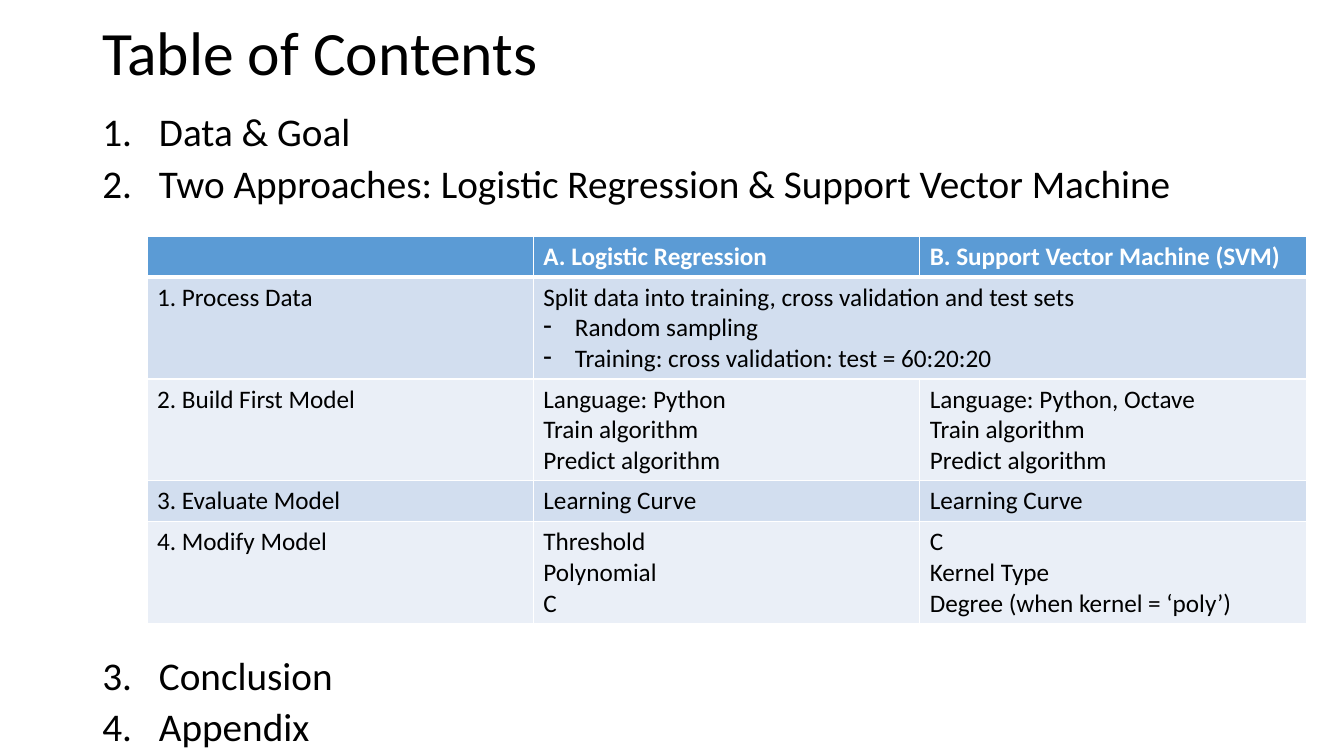
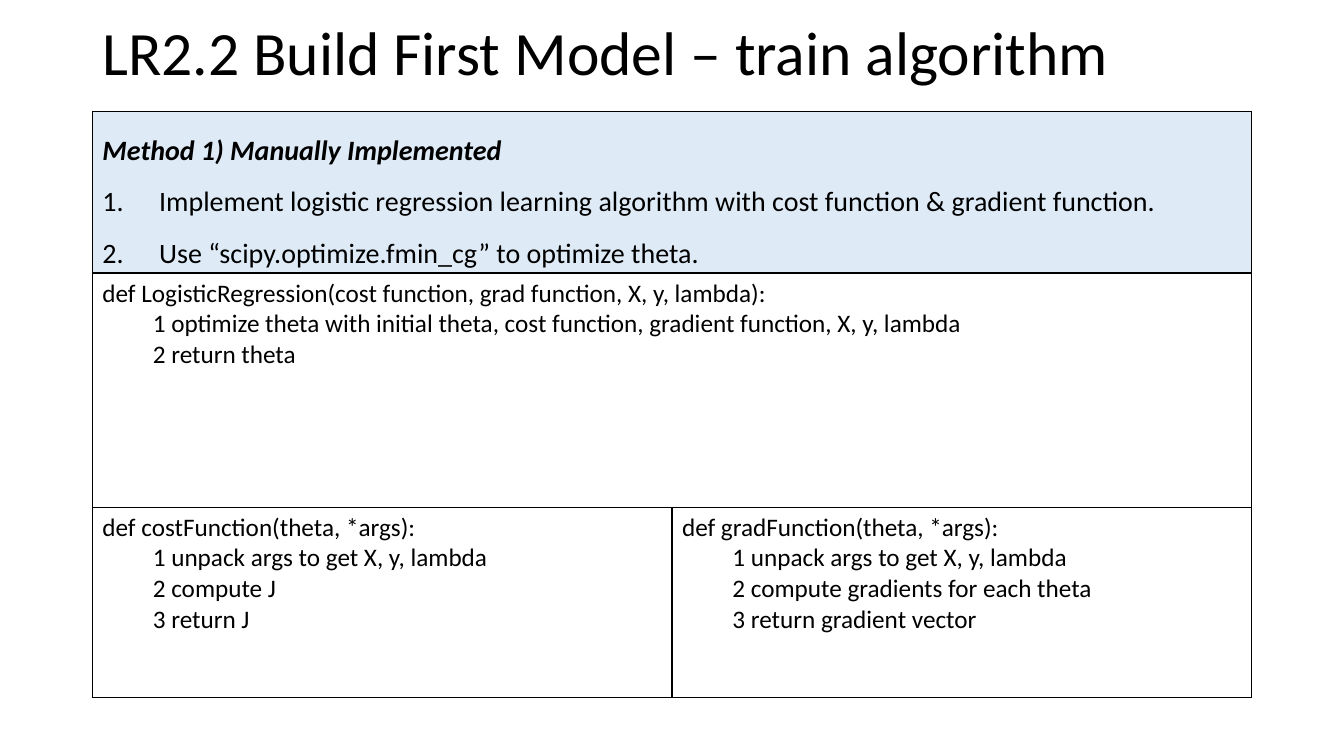
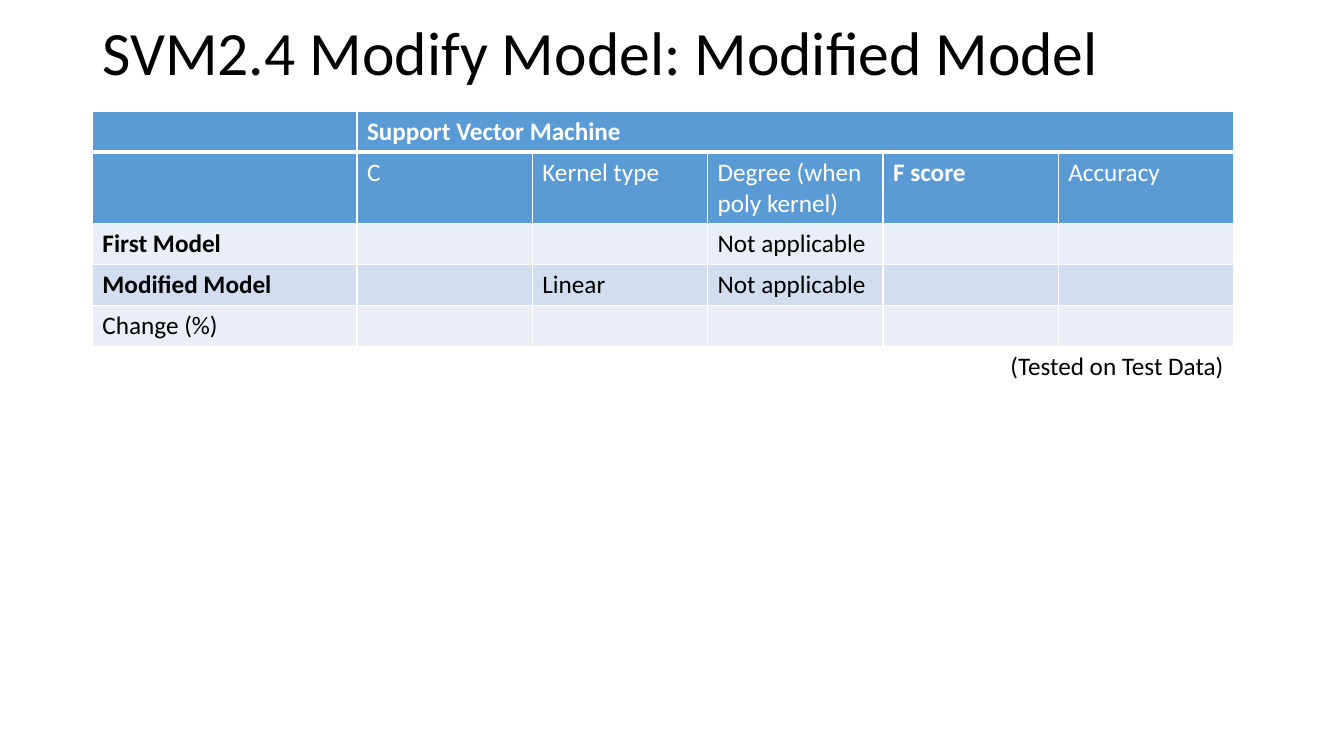
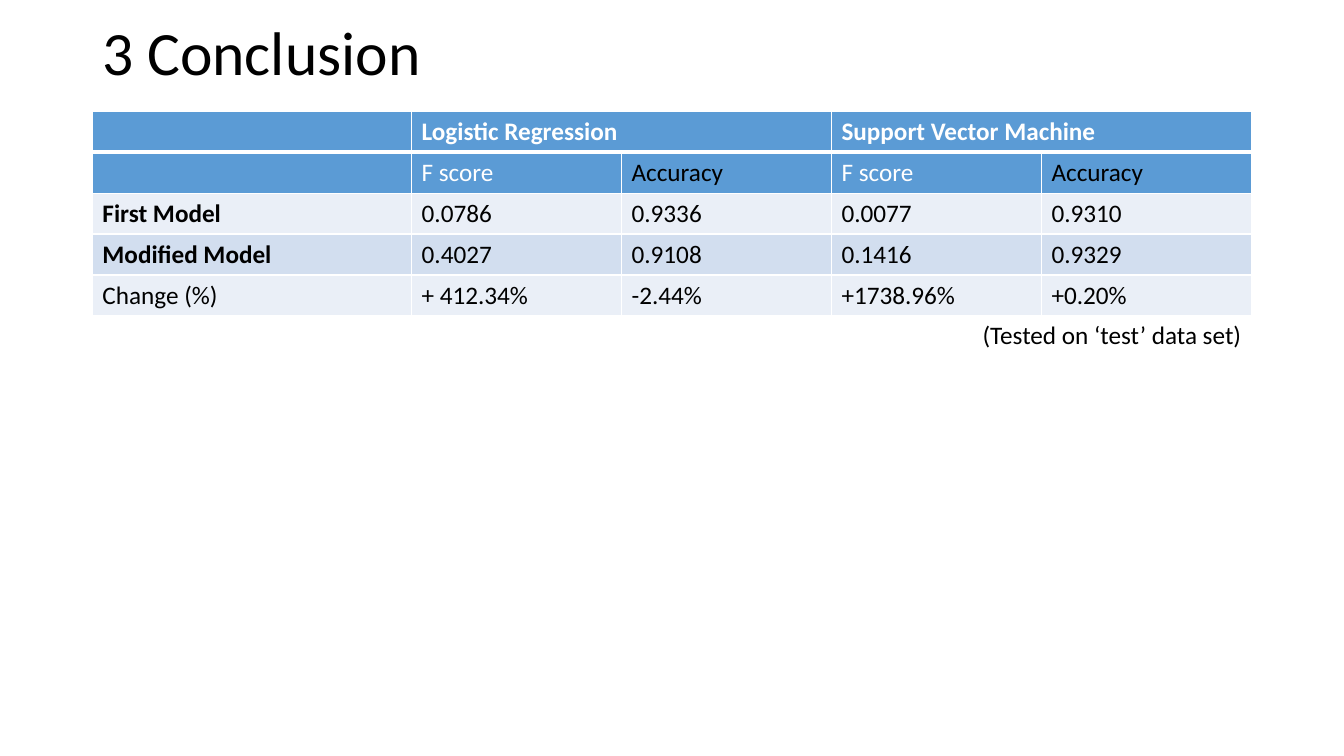
from lxml import etree
from pptx import Presentation
from pptx import util as u
from pptx.dml.color import RGBColor
from pptx.enum import text as t
from pptx.oxml.ns import qn

# Shared look
BLACK = RGBColor(0, 0, 0)
WHITE = RGBColor(255, 255, 255)
BLUE = RGBColor(0x5B, 0x9B, 0xD5)
BAND = RGBColor(0xD2, 0xDE, 0xEF)
PALE = RGBColor(0xEA, 0xEF, 0xF7)
ICE = RGBColor(0xDE, 0xEB, 0xF7)
FONT = "Calibri"
LEFT, TOP, WIDE, ROW = 88, 106, 1104, 39
BOLD = {"bold": True}
DARK = {"color": BLACK}
RIGHT = {"align": t.PP_ALIGN.RIGHT}
DASH = {"mark": "-", "pad": 30, "hang": 30}
STEP = {"pad": 48}
POINT = {"mark": 1, "pad": 54, "hang": 54}
TALL = {"size": 20, "line": 1.5}

# Content: a cell is text or a list of paragraphs; None joins the cell to its left
TERMS = [(1, ["Data & Goal",
              "Two Approaches: Logistic Regression & Support Vector Machine"], TOP),
         (3, ["Conclusion", "Appendix"], 624)]

PLAN = [
    ["", "A. Logistic Regression", "B. Support Vector Machine (SVM)"],
    ["1. Process Data",
     ["Split data into training, cross validation and test sets",
      ("Random sampling", DASH),
      ("Training: cross validation: test = 60:20:20", DASH)], None],
    ["2. Build First Model",
     ["Language: Python", "Train algorithm", "Predict algorithm"],
     ["Language: Python, Octave", "Train algorithm", "Predict algorithm"]],
    ["3. Evaluate Model", "Learning Curve", "Learning Curve"],
    ["4. Modify Model",
     ["Threshold", "Polynomial", "C"],
     ["C", "Kernel Type", "Degree (when kernel = ‘poly’)"]],
]

CODE = [
    [[("Method 1) Manually Implemented", TALL | BOLD | {"italic": True}),
      ("Implement logistic regression learning algorithm with cost function"
       " & gradient function.", TALL | POINT),
      ("Use “scipy.optimize.fmin_cg” to optimize theta.", TALL | POINT)], None],
    [["def LogisticRegression(cost function, grad function, X, y, lambda):",
      ("1 optimize theta with initial theta, cost function, gradient function,"
       " X, y, lambda", STEP),
      ("2 return theta", STEP)], None],
    [["def costFunction(theta, *args):",
      ("1 unpack args to get X, y, lambda", STEP),
      ("2 compute J", STEP),
      ("3 return J", STEP)],
     ["def gradFunction(theta, *args):",
      ("1 unpack args to get X, y, lambda", STEP),
      ("2 compute gradients for each theta", STEP),
      ("3 return gradient vector", STEP)]],
]

FIRST = [("First Model", BOLD)]
FINAL = [("Modified Model", BOLD)]
RATE = [("Accuracy", DARK)]

TUNED = [
    ["", "Support Vector Machine", None, None, None, None],
    ["", "C", "Kernel type", "Degree (when poly kernel)", [("F score", BOLD)], "Accuracy"],
    [FIRST, "", "", "Not applicable", "", ""],
    [FINAL, "", "Linear", "Not applicable", "", ""],
    ["Change (%)", "", "", "", "", ""],
    ["", "", "", "", [("(Tested on Test Data)", RIGHT)], None],
]

SCORES = [
    ["", "Logistic Regression", None, "Support Vector Machine", None],
    ["", "F score", RATE, "F score", RATE],
    [FIRST, "0.0786", "0.9336", "0.0077", "0.9310"],
    [FINAL, "0.4027", "0.9108", "0.1416", "0.9329"],
    ["Change (%)", "+ 412.34%", "-2.44%", "+1738.96%", "+0.20%"],
    ["", "", "", [("(Tested on ‘test’ data set)", RIGHT)], None],
]
RESULT = [BLUE, BLUE, PALE, BAND, PALE, None]


def px(n):
    return u.Emu(int(n * 9525))


# Text
def style(par, words, size=18, color=BLACK, bold=False, italic=False, align=None,
          line=None, before=None, mark=None, pad=0, hang=0):
    """Fill one paragraph; mark is a bullet sign or the first number of a list."""
    run = par.add_run()
    run.text = words
    font = run.font
    font.name, font.size, font.bold, font.italic = FONT, u.Pt(size), bold, italic
    font.color.rgb = color
    if align is not None:
        par.alignment = align
    if line:
        par.line_spacing = line
    if before:
        par.space_before = u.Pt(before)
    props = par._p.get_or_add_pPr()
    props.set("marL", str(px(pad)))
    props.set("indent", str(px(-hang)))
    if isinstance(mark, int):
        etree.SubElement(props, qn("a:buAutoNum"), type="arabicPeriod", startAt=str(mark))
    elif mark:
        etree.SubElement(props, qn("a:buChar"), char=mark)


def write(frame, paras, **fmt):
    for i, item in enumerate([paras] if isinstance(paras, str) else paras):
        words, own = (item, {}) if isinstance(item, str) else item
        par = frame.add_paragraph() if i else frame.paragraphs[0]
        style(par, words, **(fmt | own))


def label(slide, box, paras, anchor=t.MSO_ANCHOR.TOP, **fmt):
    frame = slide.shapes.add_textbox(*map(px, box)).text_frame
    frame.word_wrap = True
    frame.vertical_anchor = anchor
    write(frame, paras, **fmt)


# Tables
def border(cell, color, **sides):
    props = cell._tc.get_or_add_tcPr()
    for side in "LRTB":
        width = u.Pt(sides.get(side, 1))
        line = etree.SubElement(props, qn("a:ln" + side), w=str(width))
        fill = etree.SubElement(line, qn("a:solidFill"))
        etree.SubElement(fill, qn("a:srgbClr"), val=str(color))


def grid(slide, left, top, cols, rows, cells, fills, edge=WHITE):
    table = slide.shapes.add_table(len(rows), len(cols), px(left), px(top),
                                   px(sum(cols)), px(sum(rows))).table
    table.first_row = table.horz_banding = False
    for col, size in zip(table.columns, cols):
        col.width = px(size)
    for row, size in zip(table.rows, rows):
        row.height = px(size)
    for r, line in enumerate(cells):
        head = fills[r] == BLUE
        for c, paras in enumerate(line):
            cell = table.cell(r, c)
            thick = {0: {"B": 3}, 1: {"T": 3}}.get(r, {}) if fills[0] == BLUE else {}
            border(cell, edge, **thick)
            if fills[r] is None:
                cell.fill.background()
            else:
                cell.fill.solid()
                cell.fill.fore_color.rgb = fills[r]
            if paras is not None:
                write(cell.text_frame, paras, color=WHITE if head else BLACK,
                      bold=head and r == 0)
        # Join each cell with the empty places to its right
        for c, paras in enumerate(line):
            end = c
            while paras is not None and end + 1 < len(line) and line[end + 1] is None:
                end += 1
            if end > c:
                table.cell(r, c).merge(table.cell(r, end))


def main():
    deck = Presentation()
    deck.slide_width, deck.slide_height = px(1280), px(720)

    def page(title):
        slide = deck.slides.add_slide(deck.slide_layouts[6])
        label(slide, (LEFT, 13, WIDE, 79), title, t.MSO_ANCHOR.MIDDLE, size=44, line=0.9)
        return slide

    # Contents
    slide = page("Table of Contents")
    for start, terms, top in TERMS:
        label(slide, (LEFT, top, WIDE, 96), terms, size=28, line=0.8, before=10,
              **(POINT | {"mark": start}))
    grid(slide, 140, 225, [WIDE // 3] * 3, [ROW, 97, 97, ROW, 97], PLAN,
         [BLUE, BAND, PALE, BAND, PALE])

    # Training code
    slide = page("LR2.2 Build First Model – train algorithm")
    grid(slide, LEFT, TOP, [WIDE // 2] * 2, [154, 223, 181], CODE, [ICE, None, None], BLACK)

    # Modified model
    slide = page("SVM2.4 Modify Model: Modified Model")
    grid(slide, LEFT, TOP, [252] + [167] * 5, [ROW, 68] + [ROW] * 4, TUNED, RESULT)

    # Conclusion
    slide = page("3 Conclusion")
    grid(slide, LEFT, TOP, [304] + [200] * 4, [ROW] * 6, SCORES, RESULT)

    deck.save("out.pptx")


if __name__ == "__main__":
    main()
